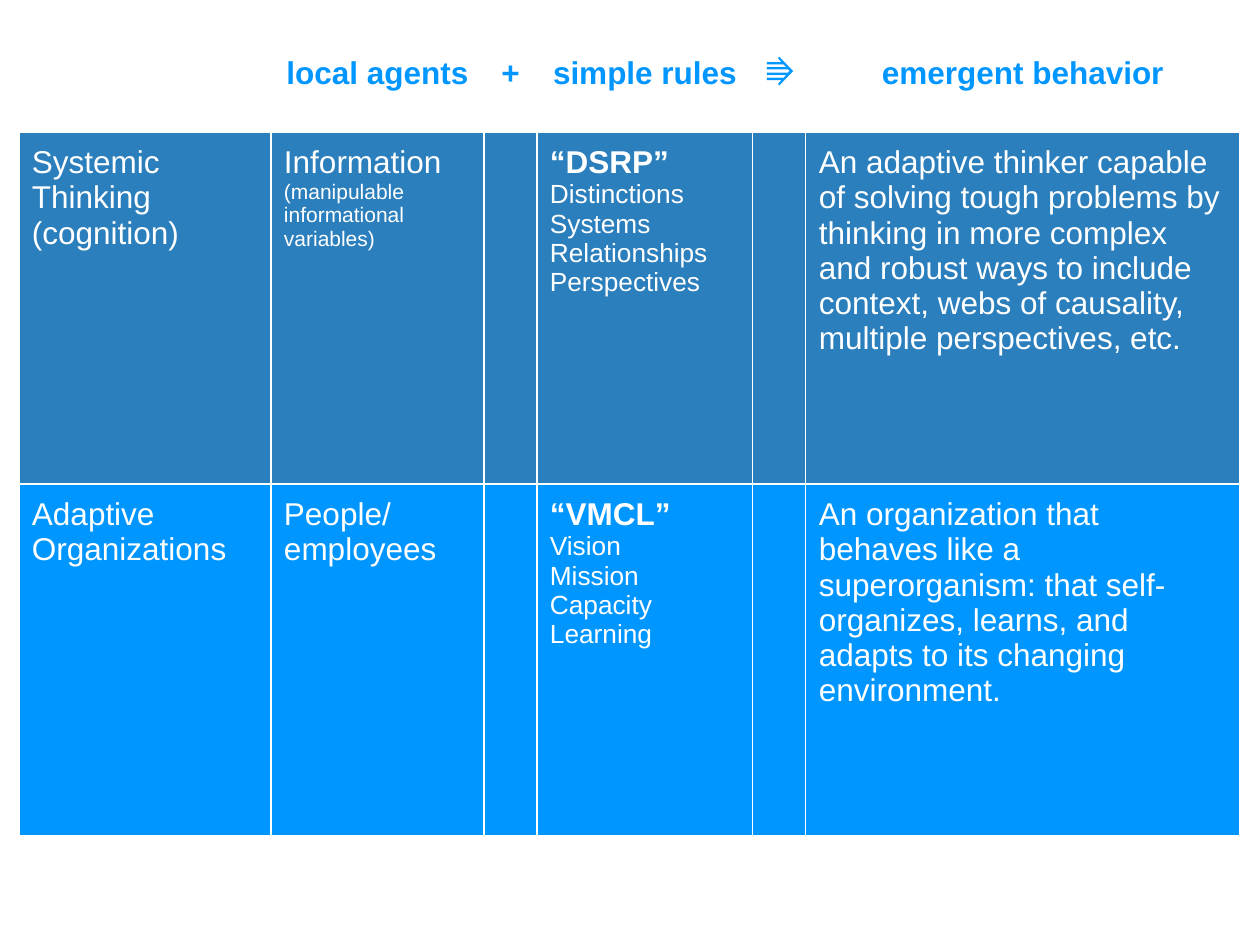
from lxml.etree import SubElement
from pptx import Presentation
from pptx.dml.color import RGBColor
from pptx.enum.text import PP_ALIGN
from pptx.oxml.ns import qn
from pptx.util import Emu, Pt

COLORS = {"white": "FFFFFF", "steel": "2B7FBD", "azure": "0096FF"}
EMU_PER_PX = 914400 / 126


def px(length):
    return Emu(round(length * EMU_PER_PX))


def add_borders(cell):
    properties = cell._tc.get_or_add_tcPr()
    for side in ("a:lnL", "a:lnR", "a:lnT", "a:lnB"):
        line = SubElement(properties, qn(side), w=str(Pt(0.75)))
        fill = SubElement(line, qn("a:solidFill"))
        SubElement(fill, qn("a:srgbClr"), val=COLORS["white"])


column_widths = [252, 213, 53, 216, 53, 434]
row_heights = [89, 352, 352]
row_fills = [None, "steel", "azure"]

headings = ["", "local agents", "+", "simple rules", "⭆", "emergent behavior"]
thinking = [
    "Systemic Thinking (cognition)",
    [[("Information ", 18, False), ("(manipulable informational variables)", 12, False)]],
    "",
    ["“DSRP”", "Distinctions", "Systems", "Relationships", "Perspectives"],
    "",
    "An adaptive thinker capable of solving tough problems by thinking in more complex "
    "and robust ways to include context, webs of causality, multiple perspectives, etc.",
]
organizations = [
    "Adaptive Organizations",
    "People/ employees",
    "",
    ["“VMCL”", "Vision", "Mission", "Capacity", "Learning"],
    "",
    "An organization that behaves like a superorganism: that self-organizes, learns, "
    "and adapts to its changing environment.",
]

prs = Presentation()
prs.slide_width, prs.slide_height = px(1260), px(945)
slide = prs.slides.add_slide(prs.slide_layouts[6])

comparison = slide.shapes.add_table(
    len(row_heights), len(column_widths),
    px(19), px(43), px(sum(column_widths)), px(sum(row_heights)),
).table
comparison.first_row = False
comparison.horz_banding = False
for column, width in zip(comparison.columns, column_widths):
    column.width = px(width)
for row, height in zip(comparison.rows, row_heights):
    row.height = px(height)

for row_index, contents in enumerate([headings, thinking, organizations]):
    is_heading = row_index == 0
    text_color = COLORS["azure" if is_heading else "white"]
    for column_index, content in enumerate(contents):
        cell = comparison.cell(row_index, column_index)
        cell.margin_left = cell.margin_right = px(13)
        cell.margin_top = cell.margin_bottom = px(13)
        add_borders(cell)
        if is_heading:
            cell.fill.background()
        else:
            cell.fill.solid()
            cell.fill.fore_color.rgb = RGBColor.from_string(COLORS[row_fills[row_index]])
        if not content:
            continue

        is_list = isinstance(content, list)
        for index, entry in enumerate(content if is_list else [content]):
            if index == 0:
                paragraph = cell.text_frame.paragraphs[0]
            else:
                paragraph = cell.text_frame.add_paragraph()
            paragraph.alignment = PP_ALIGN.CENTER if is_heading else PP_ALIGN.LEFT
            if isinstance(entry, str):
                is_bold = is_heading or (is_list and index == 0)
                entry = [(entry, 15 if index else 18, is_bold)]
            for words, size, bold in entry:
                run = paragraph.add_run()
                run.text = words
                run.font.name = "Arial"
                run.font.size = Pt(size)
                run.font.bold = bold
                run.font.color.rgb = RGBColor.from_string(text_color)

prs.save("out.pptx")
